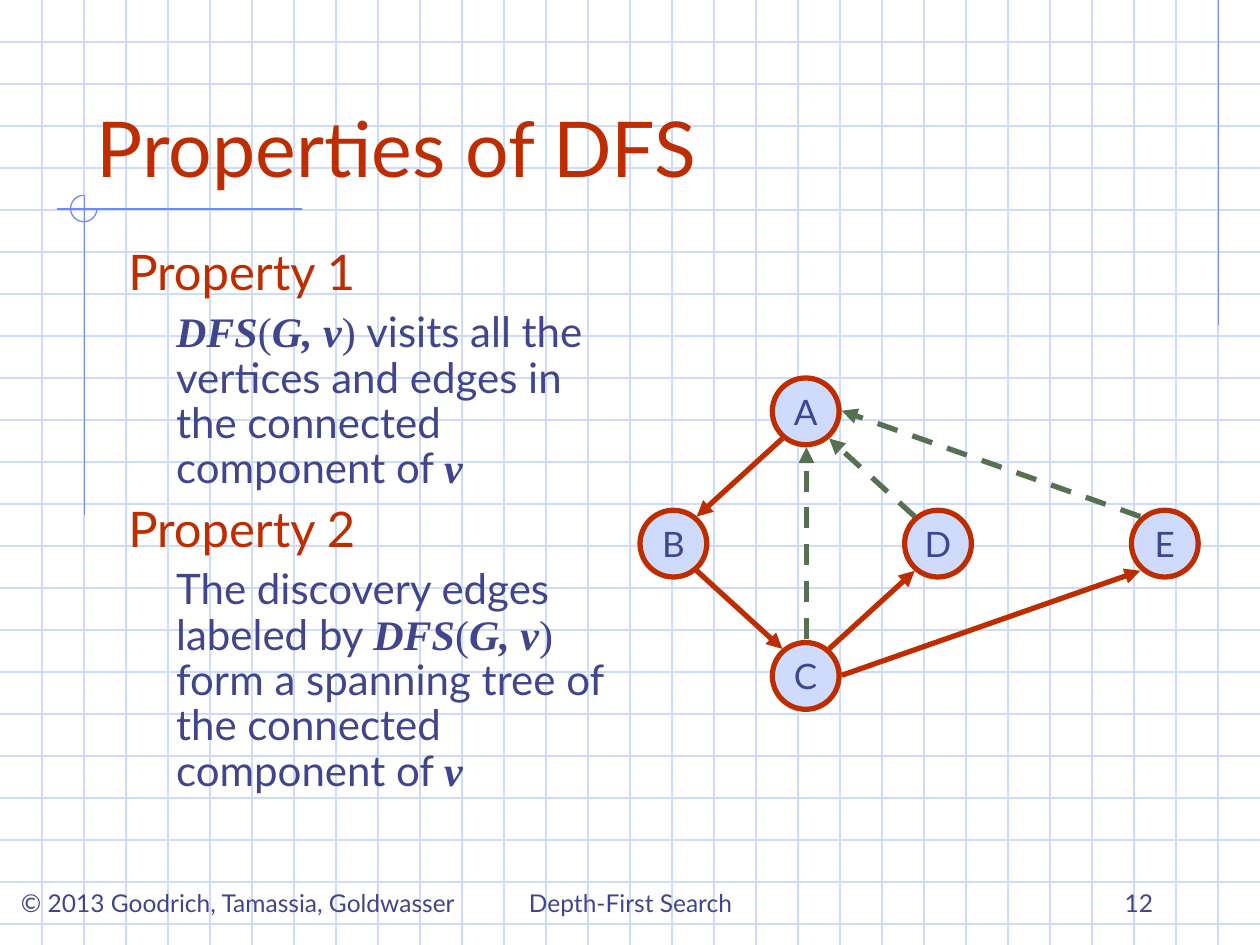
import lxml.etree
import pptx
import pptx.dml.color
import pptx.enum.dml
import pptx.enum.shapes
import pptx.enum.text
import pptx.oxml.ns
import pptx.util

Inches = pptx.util.Inches
Pt = pptx.util.Pt
RGBColor = pptx.dml.color.RGBColor
ALIGN = pptx.enum.text.PP_ALIGN
ANCHOR = pptx.enum.text.MSO_ANCHOR
SHAPE = pptx.enum.shapes.MSO_SHAPE
qn = pptx.oxml.ns.qn

PALE = RGBColor(0xCF, 0xDB, 0xFD)
BLUE = RGBColor(0x6F, 0x89, 0xF7)
NAVY = RGBColor(0x40, 0x45, 0x8C)
RUST = RGBColor(0xBE, 0x2D, 0x00)
GREEN = RGBColor(0x57, 0x70, 0x52)

SANS = "Lato"
SERIF = "Times New Roman"
WIDTH, HEIGHT = 10, 7.5
NODE_SIZE = 0.53

NODES = {
    "A": (6.13, 3), "B": (5.08, 4.05), "C": (6.13, 5.1),
    "D": (7.18, 4.05), "E": (8.98, 4.05),
}
DISCOVERY_EDGES = [
    (6.21, 3.48, 5.53, 4.1),
    (5.53, 4.53, 6.21, 5.15),
    (6.58, 5.15, 7.26, 4.53),
    (6.68, 5.36, 9.05, 4.53),
]
BACK_EDGES = [
    (7.26, 4.1, 6.58, 3.48),
    (6.4, 5.07, 6.4, 3.55),
    (9.05, 4.1, 6.68, 3.26),
]
PROPERTIES = [
    ("Property 1", "", "visits all the vertices and edges in the connected component of "),
    ("Property 2", "The discovery edges labeled by ",
     "form a spanning tree of the connected component of "),
]


def add_run(p, text, size=24, color=NAVY, font=SANS, strong=False):
    r = p.add_run()
    r.text = text
    r.font.size = Pt(size)
    r.font.name = font
    r.font.color.rgb = color
    r.font.bold = r.font.italic = strong


def add_box(s, left, top, width, height, anchor=ANCHOR.TOP, wrap=True):
    box = s.shapes.add_textbox(Inches(left), Inches(top), Inches(width), Inches(height))
    tf = box.text_frame
    tf.word_wrap = wrap
    tf.vertical_anchor = anchor
    return tf


def add_label(s, at, text, align=ALIGN.LEFT, anchor=ANCHOR.BOTTOM, wrap=True, **fmt):
    p = add_box(s, *at, anchor=anchor, wrap=wrap).paragraphs[0]
    p.alignment = align
    add_run(p, text, **fmt)


def add_line(s, x1, y1, x2, y2, color, width=0.75, dashed=False, arrow=False):
    line = s.shapes.add_connector(
        pptx.enum.shapes.MSO_CONNECTOR.STRAIGHT,
        Inches(x1), Inches(y1), Inches(x2), Inches(y2))
    line.line.color.rgb = color
    line.line.width = Pt(width)
    if dashed:
        line.line.dash_style = pptx.enum.dml.MSO_LINE.DASH
    sp_pr = line._element.spPr
    if arrow:
        lxml.etree.SubElement(sp_pr.find(qn("a:ln")), qn("a:tailEnd"), type="triangle")
    lxml.etree.SubElement(sp_pr, qn("a:effectLst"))


def add_background(s):
    for i in range(1, 23):
        add_line(s, 0, i / 3, WIDTH, i / 3, PALE)
    for i in range(1, 30):
        add_line(s, i / 3, 0, i / 3, HEIGHT, PALE)
    add_line(s, 9.67, 0, 9.67, 2.58, BLUE)
    add_line(s, 2.4, 1.66, 0.45, 1.66, BLUE)
    add_line(s, 0.67, 1.55, 0.67, 4.09, BLUE)
    arc = s.shapes.add_shape(SHAPE.ARC, Inches(0.56), Inches(1.55), Inches(0.21), Inches(0.21))
    arc.adjustments[0] = 0
    arc.adjustments[1] = 162
    arc.shadow.inherit = False
    arc.fill.background()
    arc.line.color.rgb = BLUE
    arc.line.width = Pt(0.75)


def add_paragraph(tf, before, indent=0):
    p = tf.paragraphs[0] if not tf.paragraphs[0].runs else tf.add_paragraph()
    p.line_spacing = 0.9
    p.space_before = Pt(before)
    p_pr = p._p.get_or_add_pPr()
    p_pr.set("marL", str(Inches(indent)))
    p_pr.set("indent", "0")
    return p


def add_properties(s):
    tf = add_box(s, 0.92, 1.92, 4.17, 4.5)
    for heading, lead, rest in PROPERTIES:
        add_run(add_paragraph(tf, 7), heading, size=28, color=RUST)
        p = add_paragraph(tf, 6, indent=0.38)
        if lead:
            add_run(p, lead)
        for text, strong in (("DFS", True), ("(", False), ("G, v", True), (") ", False)):
            add_run(p, text, font=SERIF, strong=strong)
        add_run(p, rest)
        add_run(p, "v", font=SERIF, strong=True)


def add_node(s, name, left, top):
    sp = s.shapes.add_shape(
        SHAPE.OVAL, Inches(left), Inches(top), Inches(NODE_SIZE), Inches(NODE_SIZE))
    sp.shadow.inherit = False
    sp.fill.solid()
    sp.fill.fore_color.rgb = PALE
    sp.line.color.rgb = RUST
    sp.line.width = Pt(3)
    tf = sp.text_frame
    tf.word_wrap = False
    tf.vertical_anchor = ANCHOR.MIDDLE
    p = tf.paragraphs[0]
    p.alignment = ALIGN.CENTER
    add_run(p, name, size=20)


def add_graph(s):
    for name, (left, top) in NODES.items():
        add_node(s, name, left, top)
    for edge in DISCOVERY_EDGES:
        add_line(s, *edge, RUST, width=3, arrow=True)
    for edge in BACK_EDGES:
        add_line(s, *edge, GREEN, width=3, dashed=True, arrow=True)


def main():
    prs = pptx.Presentation()
    prs.slide_width = Inches(WIDTH)
    prs.slide_height = Inches(HEIGHT)
    s = prs.slides.add_slide(prs.slide_layouts[6])
    add_background(s)
    add_label(s, (-0.05, 7, 3.88, 0.34), "© 2013 Goodrich, Tamassia, Goldwasser",
              align=ALIGN.CENTER, anchor=ANCHOR.TOP, wrap=False, size=14)
    add_label(s, (3.42, 6.83, 3.17, 0.5), "Depth-First Search", align=ALIGN.CENTER, size=14)
    add_label(s, (7.17, 6.83, 2.08, 0.5), "12", align=ALIGN.RIGHT, size=14)
    add_label(s, (0.67, 0.33, 8.5, 1.25), "Properties of DFS", size=44, color=RUST)
    add_properties(s)
    add_graph(s)
    prs.save("out.pptx")


if __name__ == "__main__":
    main()
